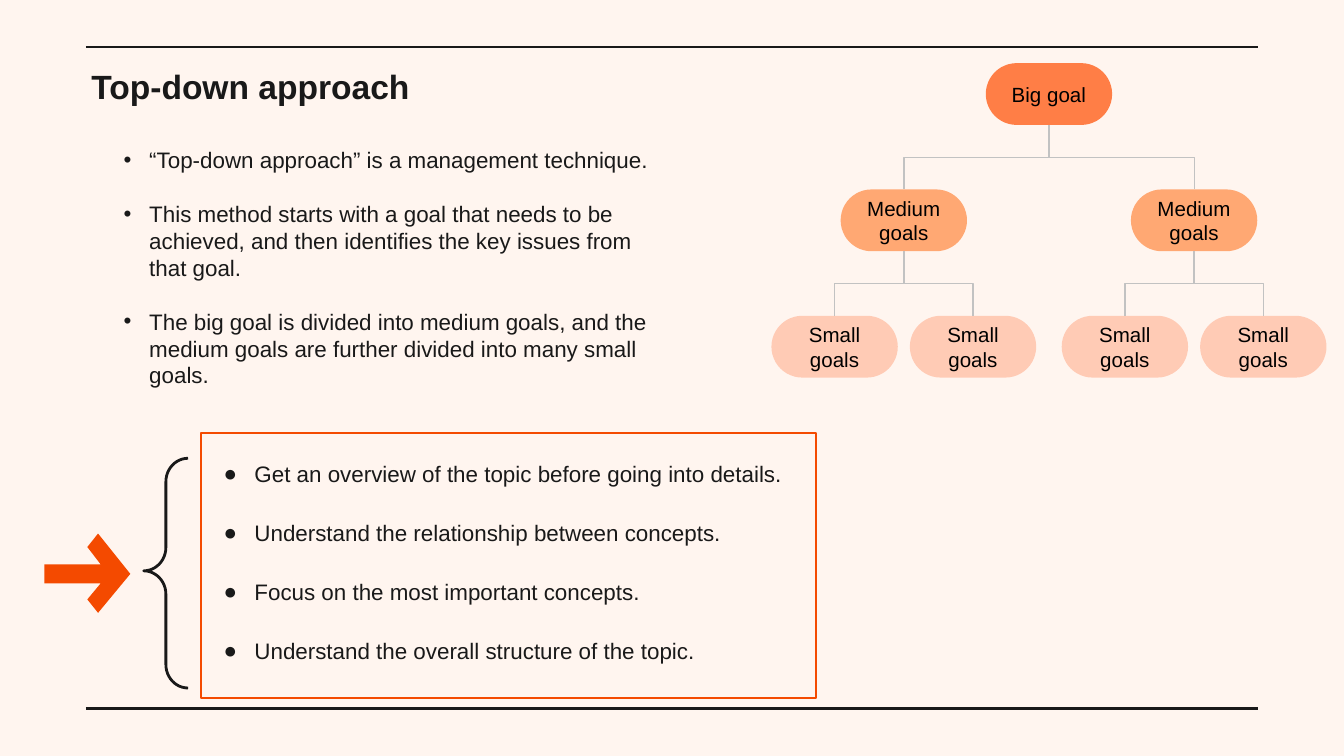
"""Builds the "Top-down approach" slide with its goal tree and study tips."""
from lxml import etree
from pptx import Presentation
from pptx.dml.color import RGBColor
from pptx.enum.shapes import MSO_CONNECTOR, MSO_SHAPE
from pptx.enum.text import MSO_ANCHOR, MSO_AUTO_SIZE, PP_ALIGN
from pptx.oxml.ns import qn
from pptx.util import Inches, Pt

STRAIGHT, ELBOW = MSO_CONNECTOR.STRAIGHT, MSO_CONNECTOR.ELBOW
PILL, RECTANGLE, BRACE = MSO_SHAPE.ROUNDED_RECTANGLE, MSO_SHAPE.RECTANGLE, MSO_SHAPE.RIGHT_BRACE
TOP, MIDDLE = MSO_ANCHOR.TOP, MSO_ANCHOR.MIDDLE
LEFT, CENTER = PP_ALIGN.LEFT, PP_ALIGN.CENTER
NO_FIT = MSO_AUTO_SIZE.NONE

CREAM = RGBColor(0xFF, 0xF5, 0xEF)
INK = RGBColor(0x19, 0x19, 0x19)
BLACK = RGBColor(0x00, 0x00, 0x00)
GREY = RGBColor(0xC2, 0xC2, 0xC2)
ORANGE = RGBColor(0xF4, 0x4A, 0x00)
BIG_FILL = RGBColor(0xFF, 0x7E, 0x46)
MEDIUM_FILL = RGBColor(0xFF, 0xA8, 0x73)
SMALL_FILL = RGBColor(0xFF, 0xCB, 0xB5)

deck = Presentation()
deck.slide_width = Inches(10)
deck.slide_height = deck.slide_width * 9 // 16
CELL = deck.slide_width / 100
page = deck.slides.add_slide(deck.slide_layouts[1])
page.background.fill.solid()
page.background.fill.fore_color.rgb = CREAM


def cells(*counts):
    return [round(count * CELL) for count in counts]


def write(box, lines, size, color, align=LEFT, anchor=TOP, bullet=None, indent=0, hang=0, gap=0, spacing=1.0):
    frame = box.text_frame
    frame.word_wrap = True
    frame.auto_size = NO_FIT
    frame.vertical_anchor = anchor
    frame.margin_left = frame.margin_right = frame.margin_top = frame.margin_bottom = round(CELL)
    frame.text = "\n".join(lines)
    for index, para in enumerate(frame.paragraphs):
        para.alignment = align
        para.line_spacing = spacing
        para.space_before = Pt(gap if index else 0)
        if bullet:
            properties = para._p.get_or_add_pPr()
            properties.set("marL", str(round(indent * CELL)))
            properties.set("indent", str(round(-hang * CELL)))
            tint = etree.SubElement(properties, qn("a:buClr"))
            etree.SubElement(tint, qn("a:srgbClr")).set("val", str(color))
            etree.SubElement(properties, qn("a:buFont")).set("typeface", "Arial")
            etree.SubElement(properties, qn("a:buChar")).set("char", bullet)
        para.font.name = "Arial"
        para.font.size = Pt(size)
        para.font.color.rgb = color


for rule_row in (3.5, 52.7):
    rule = page.shapes.add_connector(STRAIGHT, *cells(6.4, rule_row, 93.6, rule_row))
    rule.line.color.rgb = INK
    rule.line.width = Pt(1.5)
    etree.SubElement(rule._element.spPr, qn("a:effectLst"))

title = page.shapes.title
title.left, title.top, title.width, title.height = cells(5.8, 3.9, 54.3, 7.2)
write(title, ["Top-down approach"], 18, INK)
title.text_frame.paragraphs[0].font.bold = True

body = page.placeholders[1]
body.left, body.top, body.width, body.height = cells(8.2, 9.9, 41.3, 27.6)
write(body, [
    "“Top-down approach” is a management technique.",
    "This method starts with a goal that needs to be achieved, and then identifies the key issues from that goal.",
    "The big goal is divided into medium goals, and the medium goals are further divided into many small goals.",
], 12, INK, bullet="•", indent=1.9, hang=1.9, gap=14.4)

GOAL_WIDTH, GOAL_HEIGHT, TREE_TOP, LEVEL_STEP = 9.4, 4.6, 4.7, 9.4
LEVELS = (
    ("Big goal", BIG_FILL, 0),
    ("Medium goals", MEDIUM_FILL, 10.8),
    ("Small goals", SMALL_FILL, 5.15),
)
parents = [78.05]
for level, (label, fill, spread) in enumerate(LEVELS):
    top = TREE_TOP + level * LEVEL_STEP
    drop = LEVEL_STEP - GOAL_HEIGHT
    goals = []
    for parent in parents:
        for side in (-1, 1) if level else (0,):
            center = parent + side * spread
            goals.append(center)
            goal = page.shapes.add_shape(
                PILL, *cells(center - GOAL_WIDTH / 2, top, GOAL_WIDTH, GOAL_HEIGHT))
            goal.adjustments[0] = 0.5
            goal.shadow.inherit = False
            goal.fill.solid()
            goal.fill.fore_color.rgb = fill
            goal.line.fill.background()
            write(goal, [label], 11, BLACK, CENTER, MIDDLE)
            if side:
                middle_x, middle_y = (parent + center) / 2, top - drop / 2
                branch = page.shapes.add_connector(ELBOW, *cells(
                    middle_x + side * drop / 2, middle_y - spread / 2,
                    middle_x - side * drop / 2, middle_y + spread / 2))
                branch._element.spPr.xfrm.set("rot", str((180 + side * 90) * 60000))
                branch.line.color.rgb = GREY
                branch.line.width = Pt(0.75)
                etree.SubElement(branch._element.spPr, qn("a:effectLst"))
    parents = goals

tips = page.shapes.add_shape(RECTANGLE, *cells(14.95, 32.25, 45.8, 19.7))
tips.shadow.inherit = False
tips.fill.background()
tips.line.color.rgb = ORANGE
tips.line.width = Pt(1)
write(tips, [
    "Get an overview of the topic before going into details.",
    "Understand the relationship between concepts.",
    "Focus on the most important concepts.",
    "Understand the overall structure of the topic.",
], 12, INK, bullet="●", indent=3, hang=2.3, gap=10, spacing=1.5)

brace = page.shapes.add_shape(BRACE, *cells(10.7, 34.1, 3.3, 17.1))
brace.adjustments[0], brace.adjustments[1] = 0.53, 0.49
brace._element.spPr.xfrm.set("flipH", "1")
brace.shadow.inherit = False
brace.fill.background()
brace.line.color.rgb = INK
brace.line.width = Pt(1.5)

ARROW = ((7.3, 39.7), (6.5, 40.7), (7.5, 42), (3.3, 42), (3.3, 43.4),
         (7.5, 43.4), (6.5, 44.6), (7.3, 45.6), (9.7, 42.7))
outline = page.shapes.build_freeform(*cells(*ARROW[0]))
outline.add_line_segments([cells(*corner) for corner in ARROW[1:]])
arrow = outline.convert_to_shape()
arrow.shadow.inherit = False
arrow.fill.solid()
arrow.fill.fore_color.rgb = ORANGE
arrow.line.fill.background()

deck.save("out.pptx")
